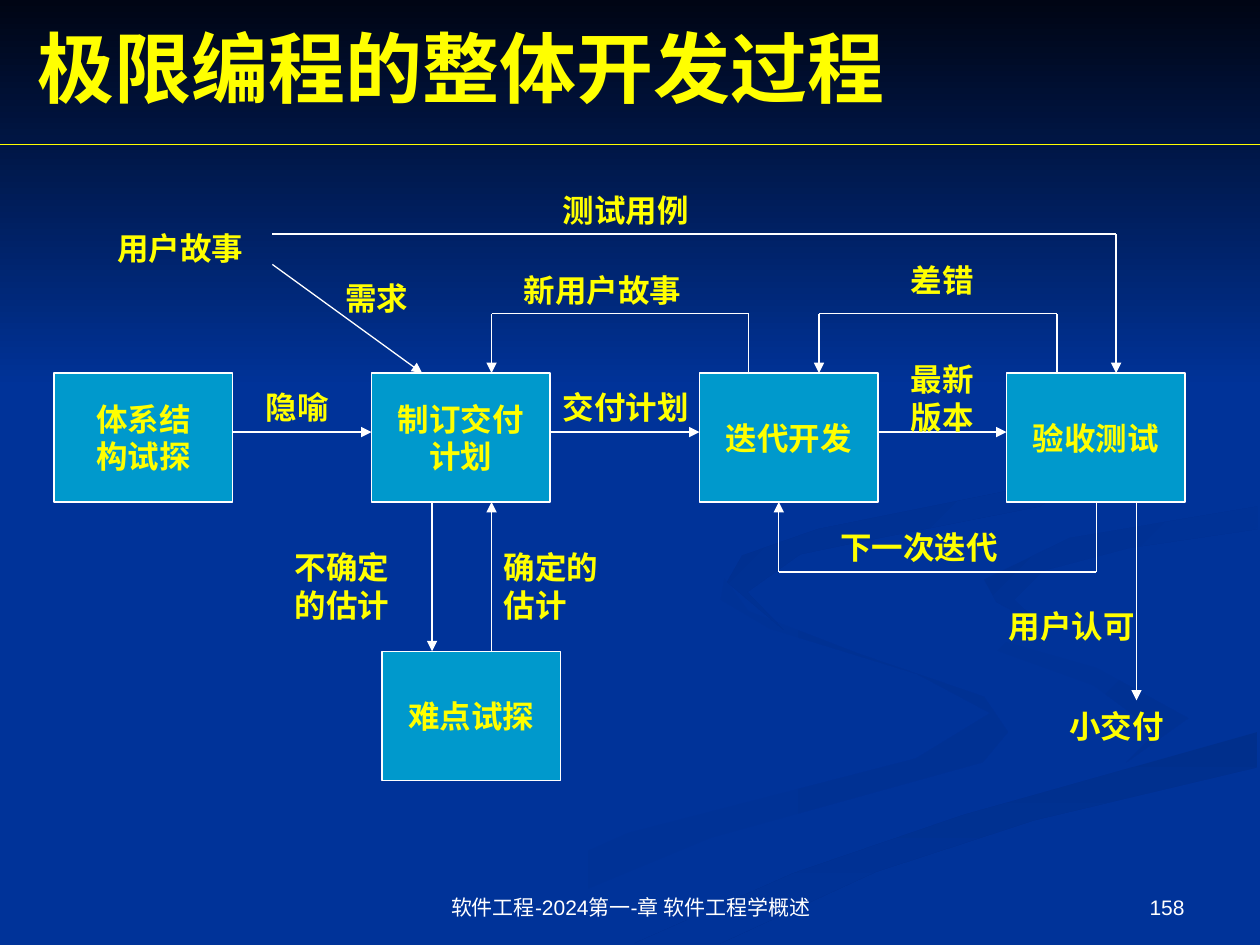
from dataclasses import dataclass

from lxml.etree import SubElement
from pptx import Presentation
from pptx.dml.color import RGBColor
from pptx.enum.shapes import MSO_CONNECTOR, MSO_SHAPE
from pptx.enum.text import MSO_ANCHOR, MSO_AUTO_SIZE, PP_ALIGN
from pptx.oxml.ns import qn
from pptx.util import Cm, Pt

NAVY, TEAL, YELLOW, WHITE = "003399", "0099CC", "FFFF00", "FFFFFF"
SERIF, SANS = "Times New Roman", "Arial"
PAGE_WIDTH, PAGE_HEIGHT = 25.4, 19.05
BOX_WIDTH, BOX_HEIGHT = 3.6, 2.6
LINE_HEIGHT = 0.76
ROW_TOP, SPIKE_TOP = 7.52, 13.13
ROW_BOTTOM = ROW_TOP + BOX_HEIGHT
FLOW_Y, LOOP_Y, NEXT_Y, STORY_Y = 8.71, 6.32, 11.53, 4.72
DELIVERY_Y = 14.12
PLAN_LEFT, ITERATION_LEFT, TEST_LEFT = 7.49, 14.1, 20.29
SPIKE_LEFT, METAPHOR_LEFT = 7.7, 1.09
PLAN_X, STORY_X = 9.91, 5.49


@dataclass
class Ribbon:
    """Background outline, in hundredths of an inch."""
    points: list[tuple[int, int]]
    start: str
    end: str
    angle: int = 0


@dataclass
class Step:
    left: float
    top: float
    lines: str


@dataclass
class Label:
    left: float
    top: float
    width: float
    text: str
    lines: int = 1


@dataclass
class Route:
    points: list[tuple[float, float]]
    arrow: bool = True
    color: str = WHITE


RIBBONS = [
    Ribbon([(781, 553), (682, 519), (594, 485), (575, 459), (572, 476), (611, 499),
            (728, 535), (786, 566), (727, 602), (499, 661), (300, 749), (361, 749),
            (564, 665), (780, 605), (800, 581)], NAVY, "003193"),
    Ribbon([(943, 570), (870, 530), (758, 498), (724, 464), (746, 500), (868, 544),
            (918, 581), (894, 605)], NAVY, "003193", 45),
    Ribbon([(503, 749), (571, 749), (695, 692), (821, 651), (998, 609), (998, 581),
            (764, 647), (630, 693)], "002F8C", NAVY, 90),
    Ribbon([(781, 460), (791, 478), (826, 496), (805, 476), (828, 453), (896, 435),
            (998, 420), (998, 402), (849, 427)], "003091", NAVY, 45),
    Ribbon([(683, 430), (825, 402), (889, 362), (880, 307), (762, 233), (870, 299),
            (886, 348), (818, 386), (649, 420), (589, 441), (577, 462), (622, 500),
            (593, 470), (635, 440)], "002F8E", NAVY, 45),
    # dark sky behind the title
    Ribbon([(0, 0), (0, 308), (1000, 308), (1000, 0)], "000514", NAVY, 90),
]

STEPS = [
    Step(METAPHOR_LEFT, ROW_TOP, "体系结\n构试探"),
    Step(PLAN_LEFT, ROW_TOP, "制订交付\n计划"),
    Step(SPIKE_LEFT, SPIKE_TOP, "难点试探"),
    Step(TEST_LEFT, ROW_TOP, "验收测试"),
    Step(ITERATION_LEFT, ROW_TOP, "迭代开发"),
]


def flow(left: float, right: float) -> Route:
    """Arrow between two neighbouring boxes of the row."""
    return Route([(left + BOX_WIDTH, FLOW_Y), (right, FLOW_Y)])


def loop(start: float, end: float, edge: float, turn: float) -> Route:
    """Arrow that goes back to an earlier box."""
    return Route([(start, edge), (start, turn), (end, turn), (end, edge)])


ROUTES = [
    Route([(0, 2.92), (PAGE_WIDTH, 2.92)], arrow=False, color=YELLOW),
    Route([(FLOW_Y, ROW_BOTTOM), (FLOW_Y, SPIKE_TOP)]),
    Route([(PLAN_X, SPIKE_TOP), (PLAN_X, ROW_BOTTOM)]),
    flow(METAPHOR_LEFT, PLAN_LEFT),
    flow(PLAN_LEFT, ITERATION_LEFT),
    flow(ITERATION_LEFT, TEST_LEFT),
    loop(15.09, PLAN_X, ROW_TOP, LOOP_Y),
    loop(21.31, 16.51, ROW_TOP, LOOP_Y),
    loop(22.1, 15.7, ROW_BOTTOM, NEXT_Y),
    Route([(STORY_X, STORY_Y), (22.5, STORY_Y), (22.5, ROW_TOP)]),
    Route([(STORY_X, 5.33), (8.51, ROW_TOP)]),
    Route([(22.91, ROW_BOTTOM), (22.91, DELIVERY_Y)]),
]

LABELS = [
    Label(5.69, 10.92, 2.79, "不确定的估计", 2),
    Label(PLAN_X, 10.92, 2.79, "确定的估计", 2),
    Label(5.11, 7.7, 2.01, "隐喻"),
    Label(11.1, 7.7, 3.4, "交付计划"),
    Label(18.11, 7.14, 2.35, "最新版本", 2),
    Label(6.71, 5.51, 2.01, "需求"),
    Label(10.31, 5.33, 4.6, "新用户故事"),
    Label(18.11, 5.13, 3.2, "差错"),
    Label(16.69, 10.52, 4.6, "下一次迭代"),
    Label(20.09, 12.12, 3.61, "用户认可"),
    Label(21.31, DELIVERY_Y, 3.2, "小交付"),
    Label(11.1, 3.73, 4.8, "测试用例"),
    Label(2.11, 4.5, 3.4, "用户故事"),
]


def paint(color_format, value: str) -> None:
    color_format.rgb = RGBColor.from_string(value)


def write(frame, text: str, size: int = 18, font: str = SERIF, color: str = YELLOW,
          bold: bool = True, align=PP_ALIGN.LEFT) -> None:
    frame.text = text
    for para in frame.paragraphs:
        para.alignment = align
        for span in para.runs:
            span.font.size, span.font.name, span.font.bold = Pt(size), font, bold
            paint(span.font.color, color)


def draw_ribbon(page, ribbon: Ribbon) -> None:
    builder = page.shapes.build_freeform(*ribbon.points[0], scale=Cm(0.0254))
    builder.add_line_segments(ribbon.points[1:], close=True)
    shape = builder.convert_to_shape()
    shape.shadow.inherit = False
    shape.line.fill.background()
    shape.fill.gradient()
    shape.fill.gradient_angle = (360 - ribbon.angle) % 360
    for stop, color in zip(shape.fill.gradient_stops, (ribbon.start, ribbon.end)):
        paint(stop.color, color)


def draw_step(page, step: Step) -> None:
    box = page.shapes.add_shape(MSO_SHAPE.RECTANGLE, Cm(step.left), Cm(step.top),
                                Cm(BOX_WIDTH), Cm(BOX_HEIGHT))
    box.shadow.inherit = False
    box.fill.solid()
    paint(box.fill.fore_color, TEAL)
    paint(box.line.color, WHITE)
    box.line.width = Pt(0.75)
    box.text_frame.word_wrap = False
    box.text_frame.vertical_anchor = MSO_ANCHOR.MIDDLE
    write(box.text_frame, step.lines, align=PP_ALIGN.CENTER)


def draw_route(page, route: Route) -> None:
    for start, end in zip(route.points, route.points[1:]):
        line = page.shapes.add_connector(MSO_CONNECTOR.STRAIGHT, *map(Cm, start + end))
        paint(line.line.color, route.color)
        line.line.width = Pt(0.75)
        SubElement(line._element.spPr, qn("a:effectLst"))
    if route.arrow:
        SubElement(line._element.spPr.find(qn("a:ln")), qn("a:tailEnd"), type="triangle")


def draw_text(page, label: Label, height: float, anchor=MSO_ANCHOR.TOP, **style) -> None:
    box = page.shapes.add_textbox(Cm(label.left), Cm(label.top),
                                  Cm(label.width), Cm(height))
    box.text_frame.word_wrap = True
    box.text_frame.auto_size = MSO_AUTO_SIZE.NONE
    box.text_frame.vertical_anchor = anchor
    write(box.text_frame, label.text, **style)


def main() -> None:
    deck = Presentation()
    deck.slide_width, deck.slide_height = Cm(PAGE_WIDTH), Cm(PAGE_HEIGHT)
    page = deck.slides.add_slide(deck.slide_layouts[6])
    page.background.fill.solid()
    paint(page.background.fill.fore_color, NAVY)
    for ribbon in RIBBONS:
        draw_ribbon(page, ribbon)

    # Footer and title
    small = dict(height=1.32, anchor=MSO_ANCHOR.BOTTOM, size=12, font=SANS,
                 color=WHITE, bold=False)
    draw_text(page, Label(18.21, 17.35, 5.92, "158"), align=PP_ALIGN.RIGHT, **small)
    draw_text(page, Label(8.69, 17.35, 8.05, "软件工程-2024第一-章 软件工程学概述"),
              align=PP_ALIGN.CENTER, **small)
    draw_text(page, Label(0.51, 0.36, 24.2, "极限编程的整体开发过程"), 1.96,
              anchor=MSO_ANCHOR.MIDDLE, size=44)

    # Process diagram
    for step in STEPS:
        draw_step(page, step)
    for route in ROUTES:
        draw_route(page, route)
    for label in LABELS:
        draw_text(page, label, 0.26 + label.lines * LINE_HEIGHT)
    deck.save("out.pptx")


if __name__ == "__main__":
    main()
